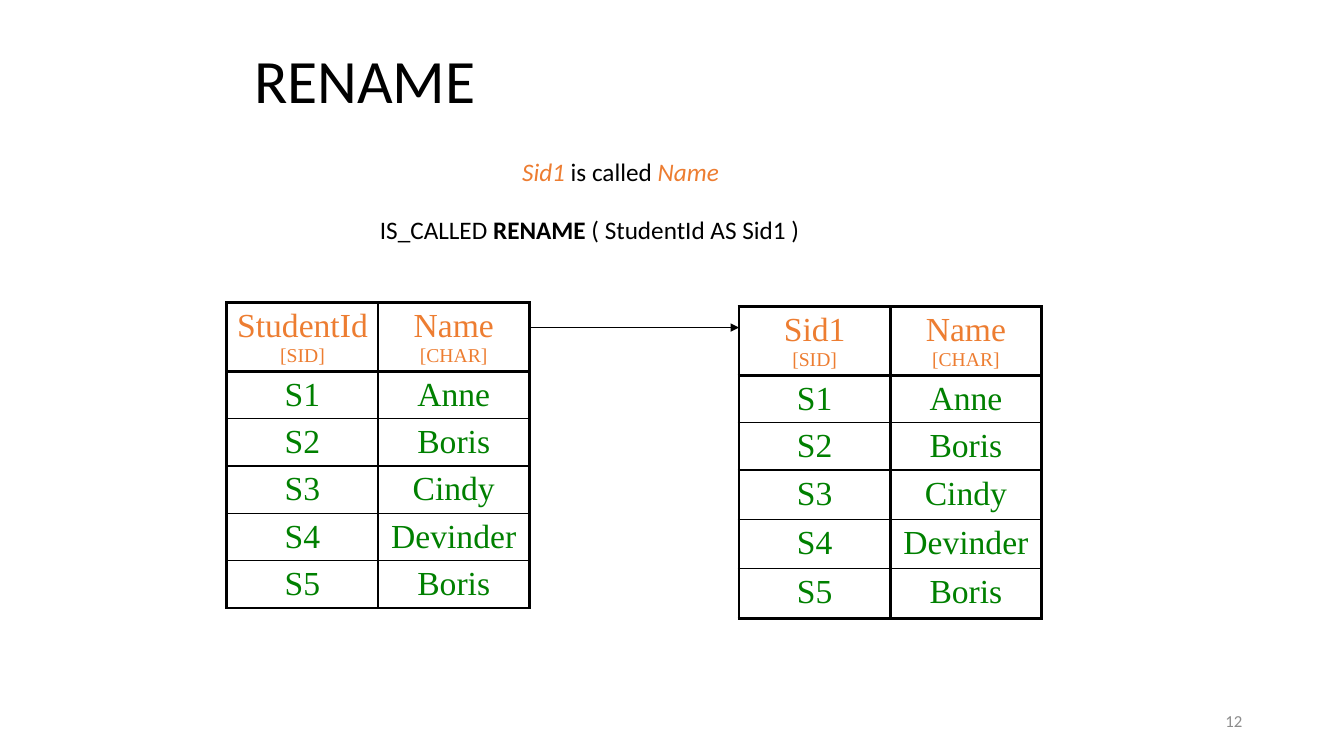
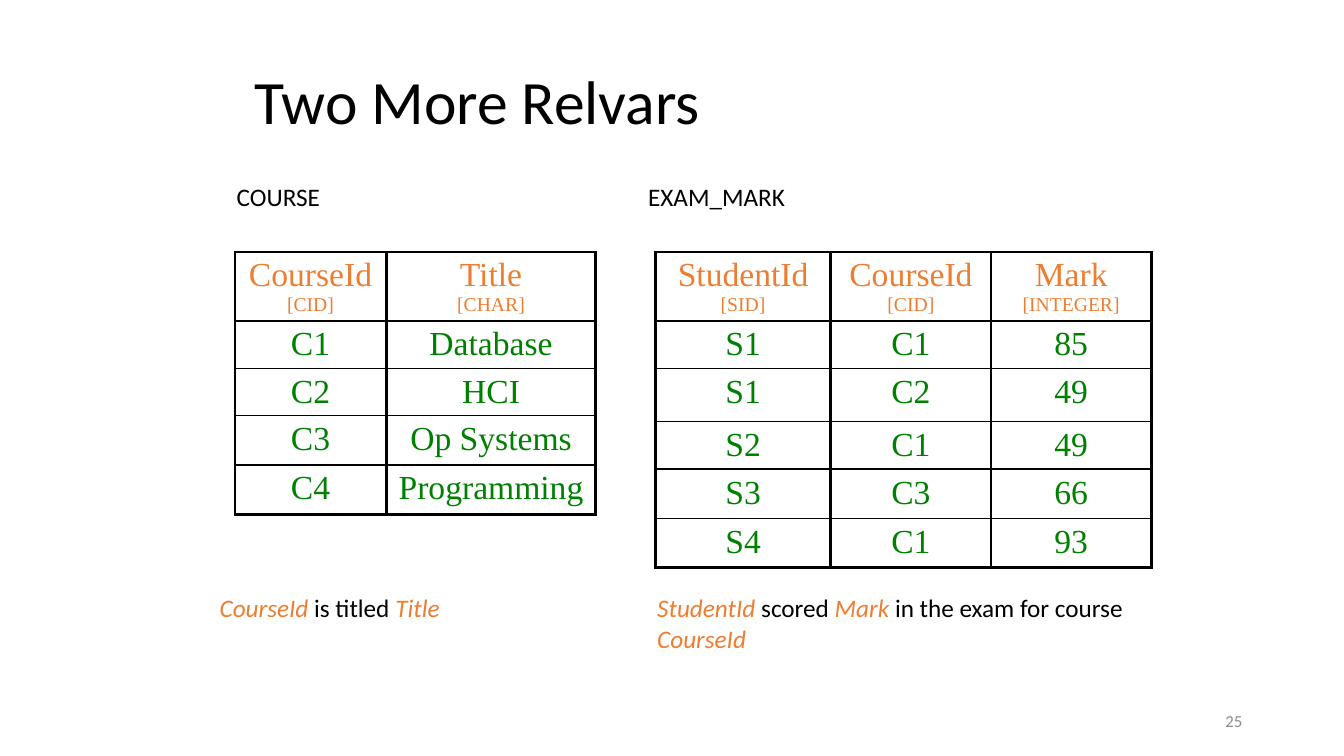
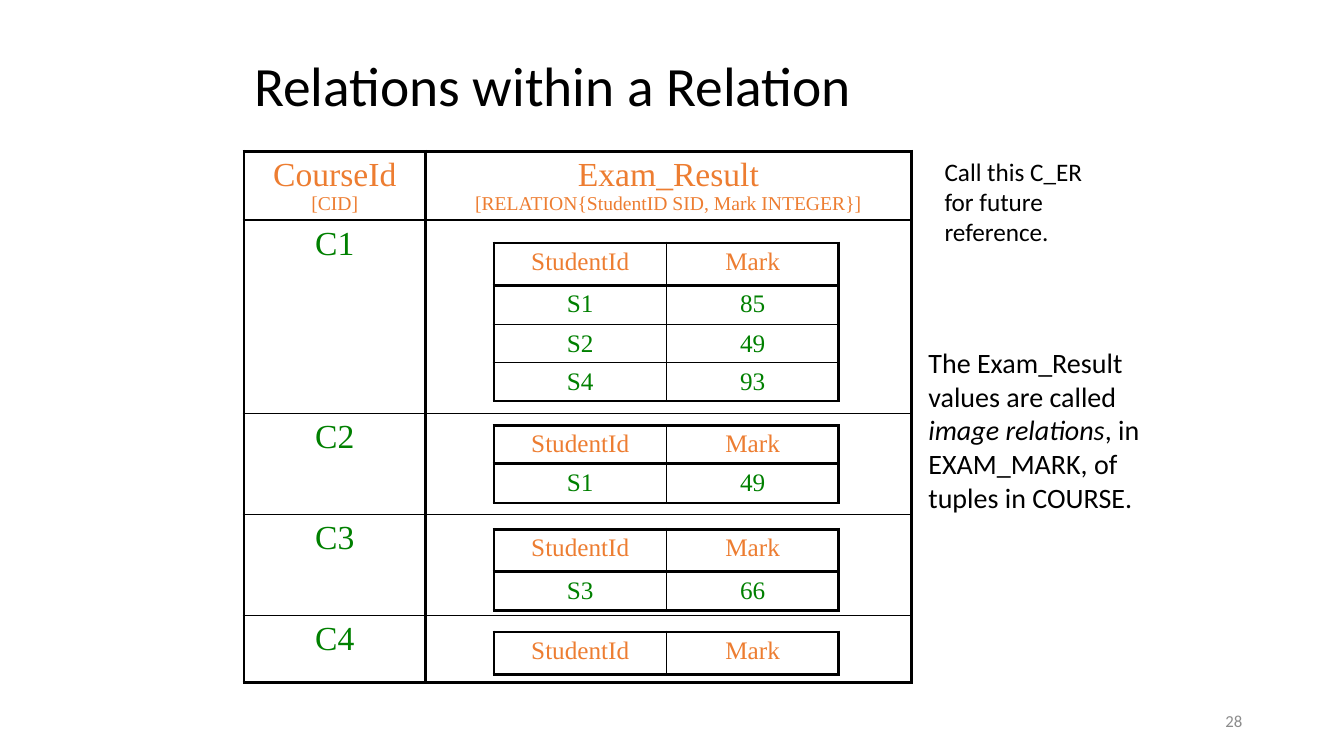
from dataclasses import dataclass

from lxml import etree
from pptx import Presentation
from pptx.dml.color import RGBColor
from pptx.enum.shapes import MSO_CONNECTOR
from pptx.enum.text import MSO_ANCHOR, MSO_AUTO_SIZE, PP_ALIGN
from pptx.oxml.ns import qn
from pptx.util import Inches, Pt

LEFT, CENTER, RIGHT = PP_ALIGN.LEFT, PP_ALIGN.CENTER, PP_ALIGN.RIGHT
MIDDLE = MSO_ANCHOR.MIDDLE
GROW = MSO_AUTO_SIZE.SHAPE_TO_FIT_TEXT
STRAIGHT = MSO_CONNECTOR.STRAIGHT
TITLE_ONLY = 5


@dataclass(frozen=True)
class Theme:
    """Colours, fonts, type sizes and line widths shared by all slides."""
    ink: str = "000000"
    attribute: str = "ED7D31"
    value: str = "008000"
    muted: str = "8C8C8C"
    sans: str = "Calibri"
    serif: str = "Times New Roman"
    title: float = 44
    long_title: float = 39.6
    large: float = 24
    remark: float = 20
    body: float = 18
    type_name: float = 14
    number: float = 12
    heavy: float = 2.25
    thin: float = 1
    arrow: float = 0.75


T = Theme()
PLAIN = {}
ATTRIBUTE = {"color": T.attribute, "italic": True}


def add_run(p, text, size=T.body, color=T.ink, name=T.sans, **style):
    """Add one formatted run to a paragraph."""
    r = p.add_run()
    r.text = text
    r.font.color.rgb = RGBColor.from_string(color)
    for key, setting in {"size": Pt(size), "name": name, **style}.items():
        setattr(r.font, key, setting)


def add_text(s, at, runs, wrap=False, align=LEFT, anchor=None, size=T.body):
    """Add a text box made of (text, style) runs, where a newline breaks the line."""
    tf = s.shapes.add_textbox(*map(Inches, at)).text_frame
    settings = {"word_wrap": wrap, "auto_size": GROW, "vertical_anchor": anchor}
    for key, setting in settings.items():
        setattr(tf, key, setting)
    p = tf.paragraphs[0]
    p.alignment = align
    for text, style in runs:
        for i, line in enumerate(text.split("\n")):
            if i:
                p.add_line_break()
            add_run(p, line, **{"size": size, **style})


def add_slide(prs, title, top, height, number, size=T.title):
    """Add a slide with its title and slide number."""
    s = prs.slides.add_slide(prs.slide_layouts[TITLE_ONLY])
    sp = s.shapes.title
    box = {"left": 2.42, "top": top, "width": 8.5, "height": height}
    for key, length in box.items():
        setattr(sp, key, Inches(length))
    sp.text_frame.vertical_anchor = MIDDLE
    p = sp.text_frame.paragraphs[0]
    p.alignment = LEFT
    p.line_spacing = 0.9
    add_run(p, title, size)
    add_text(s, (9.42, 6.95, 3, 0.4), [(number, {"color": T.muted})],
             wrap=True, align=RIGHT, anchor=MIDDLE, size=T.number)
    return s


def set_borders(cell, weights):
    """Draw the four cell borders at the given point widths."""
    tcPr = cell._tc.get_or_add_tcPr()
    for side in "LRTB":
        ln = etree.SubElement(tcPr, qn(f"a:ln{side}"), w=str(Pt(weights[side])))
        fill = etree.SubElement(ln, qn("a:solidFill"))
        etree.SubElement(fill, qn("a:srgbClr"), val=T.ink)


def fill_cell(cell, text, size, color):
    """Write a centred cell, with an optional type name on a second line."""
    cell.margin_bottom = 0
    p = cell.text_frame.paragraphs[0]
    p.alignment = CENTER
    name, _, type_name = text.partition("\n")
    if name:
        add_run(p, name, size, color, T.serif)
    if type_name:
        p.add_line_break()
        add_run(p, type_name, T.type_name, color, T.serif)


def add_relation(s, at, widths, heights, rows, size=T.large, divider=T.heavy):
    """Add a relation table: attribute header above tuples of values."""
    frame = s.shapes.add_table(len(rows), len(widths), *map(Inches, at),
                               Inches(sum(widths)), Inches(sum(heights)))
    table = frame.table
    table.first_row = table.horz_banding = False
    for col, width in zip(table.columns, widths):
        col.width = Inches(width)
    for row, height in zip(table.rows, heights):
        row.height = Inches(height)
    across = [T.heavy] * 2 + [T.thin] * (len(rows) - 2) + [T.heavy]
    down = [T.heavy] + [divider] * (len(widths) - 1) + [T.heavy]
    for i, texts in enumerate(rows):
        for j, text in enumerate(texts):
            cell = table.cell(i, j)
            fill_cell(cell, text, size, T.value if i else T.attribute)
            set_borders(cell, {"L": down[j], "R": down[j + 1],
                               "T": across[i], "B": across[i + 1]})
            cell.fill.background()


def add_image_relation(s, top, heights, tuples):
    """Add a small relation nested in the Exam_Result column."""
    add_relation(s, (4.9, top), [1.71] * 2, heights,
                 [("StudentId", "Mark"), *tuples], T.body, T.thin)


def add_arrow(s, start, end):
    """Add a thin straight arrow."""
    line = s.shapes.add_connector(STRAIGHT, *map(Inches, start + end))
    line.line.color.rgb = RGBColor.from_string(T.ink)
    line.line.width = Pt(T.arrow)
    etree.SubElement(line.line._get_or_add_ln(), qn("a:tailEnd"), type="triangle")
    etree.SubElement(line._element.spPr, qn("a:effectLst"))


def rename_slide(prs):
    """Build the slide on RENAME."""
    s = add_slide(prs, "RENAME", 0.33, 1, "12")
    students = [("S1", "Anne"), ("S2", "Boris"), ("S3", "Cindy"),
                ("S4", "Devinder"), ("S5", "Boris")]
    relations = [("Sid1", (7.33, 3.04), [0.68, 0.47, 0.47] + [0.49] * 3),
                 ("StudentId", (2.25, 3), [0.68] + [0.47] * 5)]
    for key, at, heights in relations:
        header = (f"{key}\n[SID]", "Name\n[CHAR]")
        add_relation(s, at, [1.5] * 2, heights, [header, *students])
    add_text(s, (5.08, 1.5, 2.18, 0.4),
             [("Sid1 ", ATTRIBUTE), ("is called ", PLAIN), ("Name", ATTRIBUTE)])
    add_text(s, (3.67, 2.08, 4.47, 0.4),
             [("IS_CALLED ", PLAIN), ("RENAME", {"bold": True}),
              (" ( StudentId AS Sid1 )", PLAIN)])
    add_arrow(s, (5.25, 3.25), (7.33, 3.25))


def relvars_slide(prs):
    """Build the slide on COURSE and EXAM_MARK."""
    s = add_slide(prs, "Two More Relvars", 0.58, 0.92, "25")
    add_relation(s, (2.33, 2.5), [1.5, 2.08], [0.68, 0.47, 0.47, 0.49, 0.49],
                 [("CourseId\n[CID]", "Title\n[CHAR]"), ("C1", "Database"),
                  ("C2", "HCI"), ("C3", "Op Systems"), ("C4", "Programming")])
    add_relation(s, (6.5, 2.5), [1.74, 1.59, 1.59],
                 [0.68, 0.47, 0.53, 0.47, 0.49, 0.49],
                 [("StudentId\n[SID]", "CourseId\n[CID]", "Mark\n[INTEGER]"),
                  ("S1", "C1", "85"), ("S1", "C2", "49"), ("S2", "C1", "49"),
                  ("S3", "C3", "66"), ("S4", "C1", "93")])
    add_text(s, (2.25, 1.75, 1.03, 0.4), [("COURSE", PLAIN)])
    add_text(s, (6.33, 1.75, 1.57, 0.4), [("EXAM_MARK", PLAIN)])
    add_text(s, (2.08, 5.83, 2.41, 0.4),
             [("CourseId ", ATTRIBUTE), ("is titled ", PLAIN), ("Title", ATTRIBUTE)])
    add_text(s, (6.42, 5.83, 5, 0.71),
             [("StudentId ", ATTRIBUTE), ("scored ", PLAIN), ("Mark", ATTRIBUTE),
              (" in the exam for course ", PLAIN), ("CourseId", ATTRIBUTE)], wrap=True)


def nested_slide(prs):
    """Build the slide on relations within a relation."""
    s = add_slide(prs, "Relations within a Relation", 0.5, 0.75, "28", T.long_title)
    add_relation(s, (2.42, 1.5), [1.8, 4.82], [0.68, 1.92, 1, 1, 0.67],
                 [("CourseId\n[CID]",
                   "Exam_Result\n[RELATION{StudentID SID, Mark INTEGER}]"),
                  ("C1", ""), ("C2", ""), ("C3", ""), ("C4", "")])
    add_image_relation(s, 2.41, [0.42, 0.39, 0.38, 0.38],
                       [("S1", "85"), ("S2", "49"), ("S4", "93")])
    add_image_relation(s, 4.22, [0.38, 0.39], [("S1", "49")])
    add_image_relation(s, 5.25, [0.42, 0.39], [("S3", "66")])
    add_image_relation(s, 6.27, [0.42], [])
    add_text(s, (9.27, 1.5, 2.17, 1.01),
             [("Call this C_ER\nfor future reference.", PLAIN)], wrap=True)
    add_text(s, (9.11, 3.38, 2.76, 1.77),
             [("The Exam_Result values are called ", PLAIN),
              ("image relations", {"italic": True}),
              (", in EXAM_MARK, of tuples in COURSE.", PLAIN)],
             wrap=True, size=T.remark)


def main():
    """Build and save the presentation."""
    prs = Presentation()
    prs.slide_width, prs.slide_height = Inches(13.33), Inches(7.5)
    for build in (rename_slide, relvars_slide, nested_slide):
        build(prs)
    prs.save("out.pptx")


if __name__ == "__main__":
    main()
